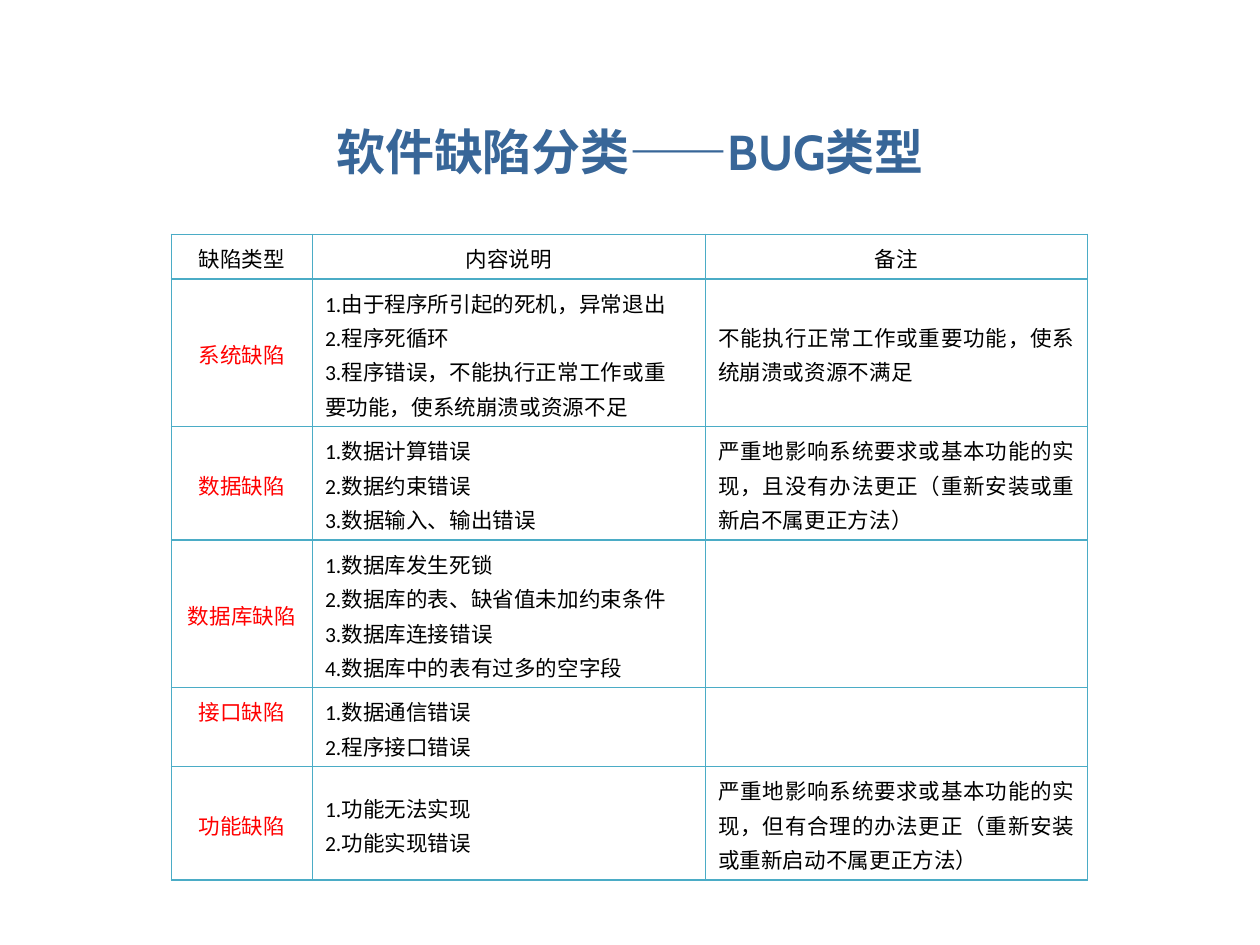
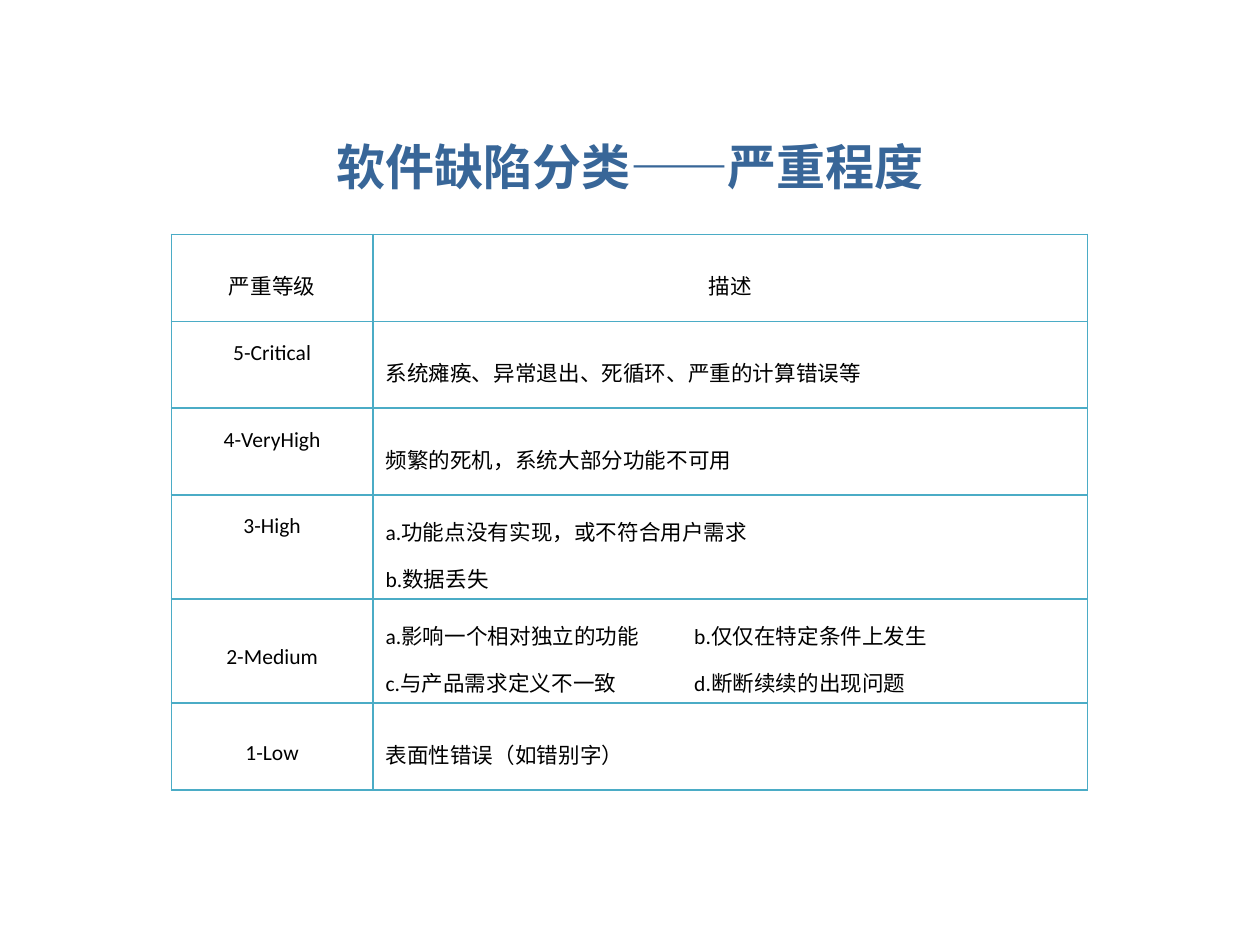
from lxml import etree
from pptx import Presentation
from pptx import util as u
from pptx.dml.color import RGBColor
from pptx.enum import text
from pptx.oxml import ns

TITLE_BLUE = RGBColor(0x38, 0x66, 0x98)
BORDER = RGBColor(0x4B, 0xAC, 0xC6)
BLACK = RGBColor(0, 0, 0)
RED = RGBColor(0xFF, 0, 0)
TITLE_FONT, BODY_FONT = "Cabin", "Calibri"
TABLE_LEFT, TABLE_TOP = 1.36, 1.86
CENTER, LEFT, JUSTIFY = text.PP_ALIGN.CENTER, text.PP_ALIGN.LEFT, text.PP_ALIGN.JUSTIFY
MIDDLE, TOP = text.MSO_ANCHOR.MIDDLE, text.MSO_ANCHOR.TOP

BUG_TYPES = [
    ["缺陷类型", "内容说明", "备注"],
    ["系统缺陷",
     "1.由于程序所引起的死机，异常退出\n2.程序死循环\n"
     "3.程序错误，不能执行正常工作或重\n要功能，使系统崩溃或资源不足",
     "不能执行正常工作或重要功能，使系统崩溃或资源不满足"],
    ["数据缺陷", "1.数据计算错误\n2.数据约束错误\n3.数据输入、输出错误",
     "严重地影响系统要求或基本功能的实现，且没有办法更正（重新安装或重新启不属更正方法）"],
    ["数据库缺陷",
     "1.数据库发生死锁\n2.数据库的表、缺省值未加约束条件\n"
     "3.数据库连接错误\n4.数据库中的表有过多的空字段", ""],
    ["接口缺陷", "1.数据通信错误\n2.程序接口错误", ""],
    ["功能缺陷", "1.功能无法实现\n2.功能实现错误",
     "严重地影响系统要求或基本功能的实现，但有合理的办法更正（重新安装或重新启动不属更正方法）"],
]
SEVERITIES = [
    ["严重等级", "描述"],
    ["5-Critical", "系统瘫痪、异常退出、死循环、严重的计算错误等"],
    ["4-VeryHigh", "频繁的死机，系统大部分功能不可用"],
    ["3-High", "a.功能点没有实现，或不符合用户需求\nb.数据丢失"],
    ["2-Medium", "a.影响一个相对独立的功能\tb.仅仅在特定条件上发生\n"
                 "c.与产品需求定义不一致\td.断断续续的出现问题"],
    ["1-Low", "表面性错误（如错别字）"],
]


def add_titled_slide(prs, title, top, height):
    """Add a title-only slide and format its title."""
    s = prs.slides.add_slide(prs.slide_layouts[5])
    sp = s.shapes.title
    sp.left, sp.width = int(prs.slide_width * 0.05), int(prs.slide_width * 0.9)
    sp.top, sp.height = u.Inches(top), u.Inches(height)
    tf = sp.text_frame
    tf.text = title
    tf.auto_size = text.MSO_AUTO_SIZE.NONE
    tf.vertical_anchor = MIDDLE
    p = tf.paragraphs[0]
    p.alignment = CENTER
    font = p.runs[0].font
    font.name, font.size, font.bold = TITLE_FONT, u.Pt(28), True
    font.color.rgb = TITLE_BLUE
    return s


def add_borders(cell):
    """Draw a thin line on every side of a cell."""
    tcPr = cell._tc.get_or_add_tcPr()
    for side in ("a:lnL", "a:lnR", "a:lnT", "a:lnB"):
        ln = etree.SubElement(tcPr, ns.qn(side), w=str(u.Pt(1)))
        fill = etree.SubElement(ln, ns.qn("a:solidFill"))
        etree.SubElement(fill, ns.qn("a:srgbClr"), val=str(BORDER))


def add_tab_stop(p, inches):
    """Give a paragraph one left tab stop."""
    tabs = etree.SubElement(p._p.get_or_add_pPr(), ns.qn("a:tabLst"))
    etree.SubElement(tabs, ns.qn("a:tab"), pos=str(u.Inches(inches)), algn="l")


def fill_cell(cell, content, align, anchor, color, spacing):
    """Write and format the content of a cell."""
    add_borders(cell)
    cell.fill.background()
    cell.margin_top = cell.margin_bottom = u.Inches(0.04)
    cell.vertical_anchor = anchor
    cell.text_frame.text = content
    for p in cell.text_frame.paragraphs:
        if "\t" in p.text:
            add_tab_stop(p, 2.45)
        p.alignment, p.line_spacing = align, spacing
        for r in p.runs:
            r.font.name, r.font.size = BODY_FONT, u.Pt(12.3)
            r.font.color.rgb = color


def add_grid(s, rows, widths, heights, spacing, body_align, label_color, top_cells):
    """Add a bordered table with a header row and a label column."""
    frame = s.shapes.add_table(len(rows), len(widths), u.Inches(TABLE_LEFT), u.Inches(TABLE_TOP),
                               u.Inches(sum(widths)), u.Inches(sum(heights)))
    table = frame.table
    table.first_row = table.horz_banding = False
    for column, width in zip(table.columns, widths):
        column.width = u.Inches(width)
    for i, (row, height) in enumerate(zip(rows, heights)):
        table.rows[i].height = u.Inches(height)
        for j, content in enumerate(row):
            align = CENTER if i == 0 or j == 0 else body_align
            color = label_color if i > 0 and j == 0 else BLACK
            anchor = TOP if (i, j) in top_cells else MIDDLE
            fill_cell(table.cell(i, j), content, align, anchor, color, spacing)


def main():
    """Build the two slides on defect classification."""
    prs = Presentation()
    prs.slide_width, prs.slide_height = u.Inches(10), u.Inches(7.5)

    s = add_titled_slide(prs, "软件缺陷分类——BUG类型", 0.89, 0.62)
    header_and_interface = {(i, j) for i in (0, 4) for j in range(3)}
    add_grid(s, BUG_TYPES, [1.12, 3.12, 3.03], [0.31, 0.98, 0.75, 0.98, 0.53, 0.75],
             1.1, JUSTIFY, RED, header_and_interface)

    s = add_titled_slide(prs, "软件缺陷分类——严重程度", 1.03, 0.58)
    upper_levels = {(i, 0) for i in (1, 2, 3)}
    add_grid(s, SEVERITIES, [1.6, 5.67], [0.69] * len(SEVERITIES),
             1.5, LEFT, BLACK, upper_levels)

    prs.save("out.pptx")


if __name__ == "__main__":
    main()
